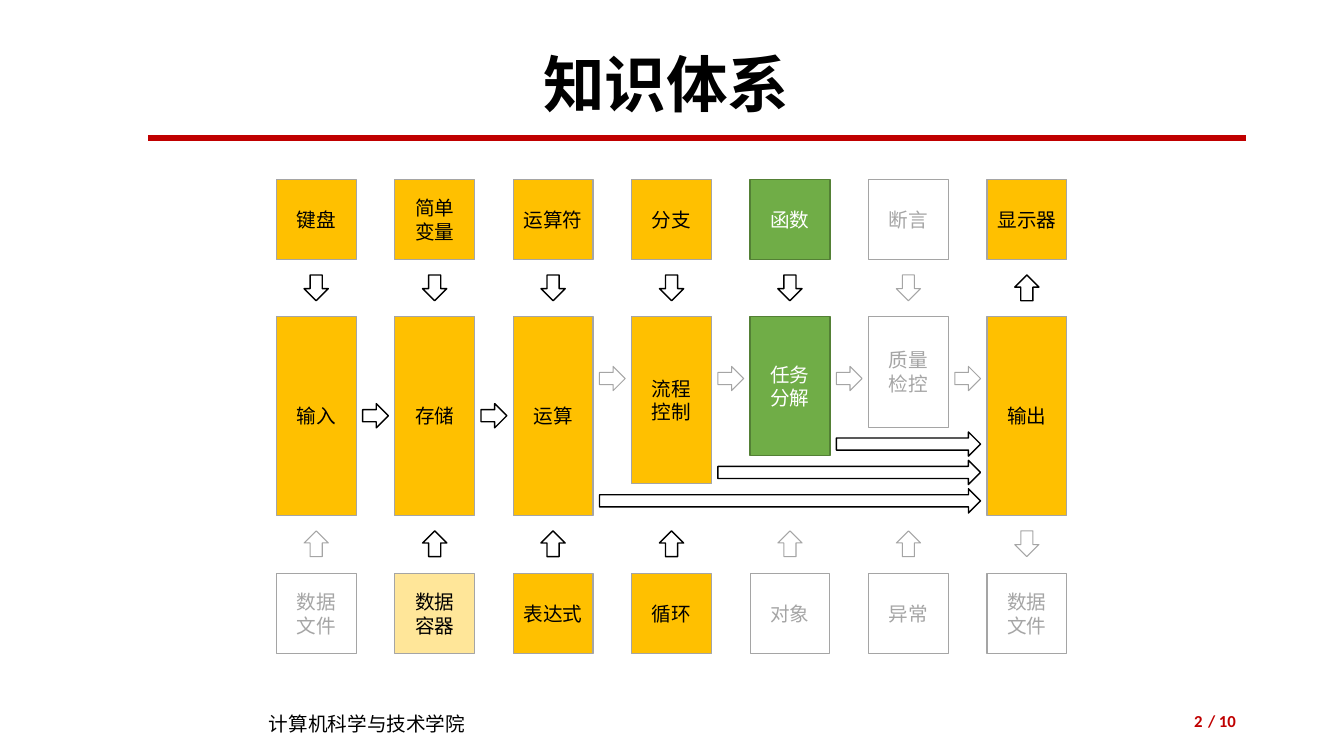
"""Build the knowledge-system slide: seven columns of topics joined by block arrows."""
import pptx
import pptx.util
import pptx.dml.color
import pptx.enum.shapes
import pptx.enum.text
import lxml.etree

Pt = pptx.util.Pt
SHAPES = pptx.enum.shapes.MSO_SHAPE
ALIGN = pptx.enum.text.PP_ALIGN
ANCHOR = pptx.enum.text.MSO_ANCHOR
DRAWING = "http://schemas.openxmlformats.org/drawingml/2006/main"

COLUMN_LEFT, COLUMN_STEP, BOX_SIZE = 197.4, 84.6, 57
TOP_ROW, MIDDLE_ROW, BOTTOM_ROW = 128.2, 226, 409.7
ARROW_WIDTH, ARROW_LENGTH, ARROW_GAP = 17.3, 18.4, 4.6
UPPER_ARROWS, LOWER_ARROWS = 196.4, 379.2

STYLES = {
    "done": {"fill": "FFC000", "line": "A5A5A5", "width": 0.75, "text": "000000"},
    "partial": {"fill": "FFE699", "line": "A5A5A5", "width": 0.75, "text": "000000"},
    "current": {"fill": "70AD47", "line": "538035", "width": 1, "text": "FFFFFF"},
    "later": {"fill": None, "line": "A5A5A5", "width": 0.75, "text": "A5A5A5"},
    "flow": {"fill": "FFFFFF", "line": "000000", "width": 1, "text": "000000"},
}
TOP_TOPICS = [
    ("键盘", "done"), ("简单\n变量", "done"), ("运算符", "done"), ("分支", "done"),
    ("函数", "current"), ("断言", "later"), ("显示器", "done"),
]
STAGES = [
    ("输入", "done", 142), ("存储", "done", 142), ("运算", "done", 142),
    ("流程\n控制", "done", 119.5), ("任务\n分解", "current", 99.4),
    ("质量\n检控", "later", 79.2), ("输出", "done", 142),
]
BOTTOM_TOPICS = [
    ("数据\n文件", "later"), ("数据\n容器", "partial"), ("表达式", "done"), ("循环", "done"),
    ("对象", "later"), ("异常", "later"), ("数据\n文件", "later"),
]


def color(value):
    return pptx.dml.color.RGBColor.from_string(value)


def set_attributes(target, values):
    for name, value in values.items():
        setattr(target, name, value)


def column_left(index):
    return COLUMN_LEFT + COLUMN_STEP * index


def write_text(shape, text, size, text_color, align, bold=False, font="Calibri",
               anchor=ANCHOR.MIDDLE, spacing=1.0):
    frame = shape.text_frame
    frame.text = text
    set_attributes(frame, {"word_wrap": True, "vertical_anchor": anchor,
                           "auto_size": pptx.enum.text.MSO_AUTO_SIZE.NONE})
    for paragraph in frame.paragraphs:
        set_attributes(paragraph, {"alignment": align, "line_spacing": spacing})
        for run in paragraph.runs:
            set_attributes(run.font, {"name": font, "size": Pt(size), "bold": bold})
            run.font.color.rgb = color(text_color)


def add_preset(slide, preset, left, top, width, height, style):
    shape = slide.shapes.add_shape(preset, Pt(left), Pt(top), Pt(width), Pt(height))
    shape.shadow.inherit = False
    if style["fill"]:
        shape.fill.solid()
        shape.fill.fore_color.rgb = color(style["fill"])
    else:
        shape.fill.background()
    shape.line.color.rgb = color(style["line"])
    shape.line.width = Pt(style["width"])
    return shape


def add_box(slide, index, top, height, text, state):
    style = STYLES[state]
    box = add_preset(slide, SHAPES.RECTANGLE, column_left(index), top, BOX_SIZE, height, style)
    set_attributes(box.text_frame, {"margin_left": Pt(2), "margin_right": Pt(2)})
    write_text(box, text, 14, style["text"], ALIGN.CENTER)


def add_vertical_arrow(slide, index, top, upward, state):
    preset = SHAPES.UP_ARROW if upward else SHAPES.DOWN_ARROW
    left = column_left(index) + (BOX_SIZE - ARROW_WIDTH) / 2
    add_preset(slide, preset, left, top, ARROW_WIDTH, ARROW_LENGTH, STYLES[state])


def add_right_arrow(slide, start, end, middle, state):
    left = column_left(start) + BOX_SIZE + ARROW_GAP
    width = column_left(end) - ARROW_GAP - left
    add_preset(slide, SHAPES.RIGHT_ARROW, left, middle - ARROW_WIDTH / 2,
               width, ARROW_WIDTH, STYLES[state])


def add_label(slide, left, top, width, height, text, **text_format):
    label = slide.shapes.add_textbox(Pt(left), Pt(top), Pt(width), Pt(height))
    write_text(label, text, **text_format)


def add_title(slide, text):
    title = slide.shapes.title
    set_attributes(title, {"left": Pt(62), "top": Pt(28.8), "width": Pt(828), "height": Pt(67.7)})
    write_text(title, text, 44, "000000", ALIGN.CENTER, bold=True, spacing=0.9)


def add_rule(slide, left, right, top):
    rule = slide.shapes.add_connector(pptx.enum.shapes.MSO_CONNECTOR.STRAIGHT,
                                      Pt(left), Pt(top), Pt(right), Pt(top))
    rule.line.color.rgb = color("C00000")
    rule.line.width = Pt(4.5)
    lxml.etree.SubElement(rule._element.spPr, "{%s}effectLst" % DRAWING)


def add_footer(slide):
    add_label(slide, 185, 504.7, 210, 24.5, "计算机科学与技术学院", size=14, text_color="000000",
              align=ALIGN.LEFT, font="Noto Sans CJK SC", anchor=ANCHOR.TOP)
    page_format = {"size": 12, "text_color": "C00000", "align": ALIGN.RIGHT, "bold": True}
    add_label(slide, 678.2, 500.4, 188, 28.8, "2", **page_format)
    add_label(slide, 836, 500.4, 54, 28.8, "/ 10", **page_format)


def add_topics(slide, topics, row_top, arrow_top, points_up):
    output_column = len(topics) - 1
    for index, (text, state) in enumerate(topics):
        add_box(slide, index, row_top, BOX_SIZE, text, state)
        upward = points_up != (index == output_column)
        arrow_state = "later" if state == "later" else "flow"
        add_vertical_arrow(slide, index, arrow_top, upward, arrow_state)


def add_stages(slide):
    output_column = len(STAGES) - 1
    for index, (text, state, height) in enumerate(STAGES):
        add_box(slide, index, MIDDLE_ROW, height, text, state)
    for index in range(output_column):
        middle, state = (297, "flow") if index < 2 else (270.4, "later")
        add_right_arrow(slide, index, index + 1, middle, state)
    for step, start in enumerate((2, 3, 4)):
        add_right_arrow(slide, start, output_column, 357.8 - 20.3 * step, "flow")


def main():
    presentation = pptx.Presentation()
    set_attributes(presentation, {"slide_width": Pt(960), "slide_height": Pt(540)})
    slide = presentation.slides.add_slide(presentation.slide_layouts[5])
    add_title(slide, "知识体系")
    add_rule(slide, 106, 890, 98.8)
    add_topics(slide, TOP_TOPICS, TOP_ROW, UPPER_ARROWS, points_up=False)
    add_stages(slide)
    add_topics(slide, BOTTOM_TOPICS, BOTTOM_ROW, LOWER_ARROWS, points_up=True)
    add_footer(slide)
    presentation.save("out.pptx")


main()
